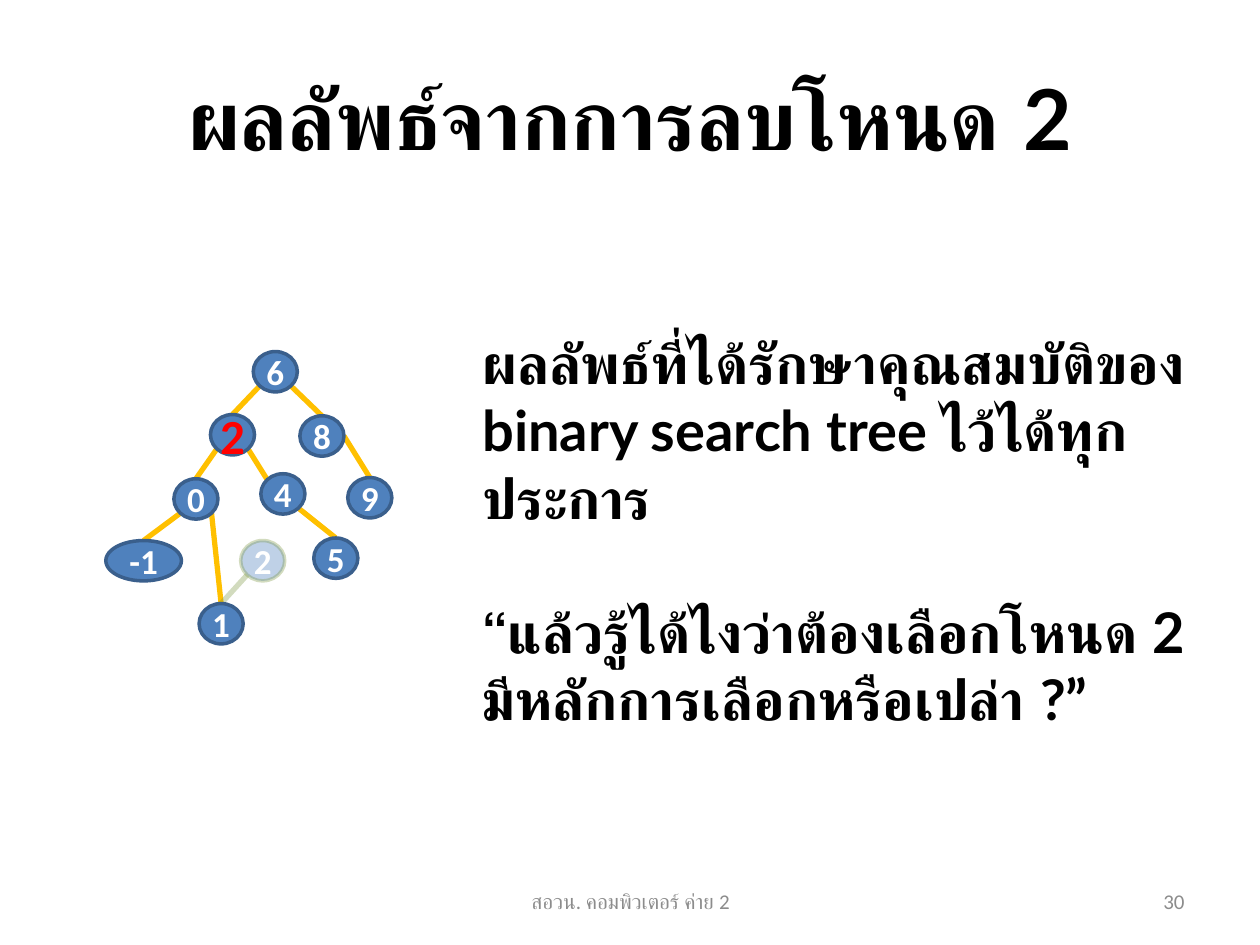
from math import cos, radians, sin

from lxml.etree import SubElement
from pptx import Presentation
from pptx.dml.color import RGBColor
from pptx.enum.shapes import MSO_CONNECTOR, MSO_SHAPE
from pptx.enum.text import MSO_ANCHOR, PP_ALIGN
from pptx.oxml.ns import qn
from pptx.util import Inches, Pt

BLACK = RGBColor(0, 0, 0)
WHITE = RGBColor(255, 255, 255)
RED = RGBColor(255, 0, 0)
GRAY = RGBColor(0x8C, 0x8C, 0x8C)
BLUE = RGBColor(0x4F, 0x81, 0xBD)
NAVY = RGBColor(0x3A, 0x5F, 0x8C)
GOLD = RGBColor(0xFF, 0xC0, 0x00)
GREEN = RGBColor(0x77, 0x93, 0x3C)

WIDE, HIGH = 0.35, 0.32
# Angles of the rim points, clockwise from the right
RIGHT, LOW_R, LOW_L, UP_L, TOP = 0, 45, 135, 225, 270

# name: (label, left, top, format)
NODES = {
    "6": ("6", 2.01, 2.79, {}),
    "2": ("2", 1.67, 3.29, {"size": 28, "color": RED}),
    "8": ("8", 2.38, 3.3, {}),
    "0": ("0", 1.38, 3.8, {}),
    "9": ("9", 2.76, 3.79, {}),
    "5": ("5", 2.49, 4.27, {}),
    "-1": ("-1", 0.84, 4.29, {"wide": 0.6}),
    "1": ("1", 1.58, 4.79, {}),
    "4": ("4", 2.07, 3.76, {}),
    "old": ("2", 1.91, 4.29, {"faded": True}),
}

# (parent, rim angle, child, rim angle)
EDGES = [
    ("6", LOW_L, "2", TOP), ("6", LOW_R, "8", TOP),
    ("2", LOW_L, "0", TOP), ("2", LOW_R, "4", UP_L),
    ("8", RIGHT, "9", TOP), ("4", LOW_R, "5", TOP),
    ("0", LOW_L, "-1", TOP), ("0", LOW_R, "1", TOP),
    ("old", LOW_L, "1", TOP),
]


def write(frame, *lines, size=20, color=BLACK, font="Calibri", bold=True,
          align=PP_ALIGN.LEFT, anchor=MSO_ANCHOR.TOP, gap=0):
    """Fill a text frame, one paragraph a line, with gap points between."""
    frame.word_wrap = True
    frame.vertical_anchor = anchor
    for i, line in enumerate(lines):
        para = frame.add_paragraph() if i else frame.paragraphs[0]
        para.alignment = align
        para.space_before = Pt(gap if i else 0)
        run = para.add_run()
        run.text = line
        run.font.size = Pt(size)
        run.font.name = font
        run.font.bold = bold
        run.font.color.rgb = color


def fade(paint, percent):
    """Set the opacity of a solid fill."""
    color = paint._xPr.find(qn("a:solidFill"))[0]
    SubElement(color, qn("a:alpha"), val=str(percent * 1000))


def rim(name, angle):
    """Point on the edge of a node."""
    _, left, top, style = NODES[name]
    wide, turn = style.get("wide", WIDE), radians(angle)
    return (left + wide / 2 * (1 + cos(turn)),
            top + HIGH / 2 * (1 + sin(turn)))


class Deck:
    def __init__(self):
        self.file = Presentation()
        self.file.slide_width = Inches(10)
        self.file.slide_height = Inches(7.5)
        self.slide = self.file.slides.add_slide(self.file.slide_layouts[6])

    def text(self, box, *lines, **style):
        shape = self.slide.shapes.add_textbox(*map(Inches, box))
        write(shape.text_frame, *lines, **style)

    def edge(self, start, end, faded=False):
        line = self.slide.shapes.add_connector(
            MSO_CONNECTOR.STRAIGHT, *map(Inches, start + end))
        line.line.width = Pt(3)
        line.line.color.rgb = GREEN if faded else GOLD
        if faded:
            fade(line.line.fill, 33)
        SubElement(line._element.spPr, qn("a:effectLst"))

    def node(self, label, left, top, wide=WIDE, size=20, color=WHITE,
             faded=False):
        shape = self.slide.shapes.add_shape(
            MSO_SHAPE.OVAL, *map(Inches, (left, top, wide, HIGH)))
        shape.shadow.inherit = False
        shape.fill.solid()
        shape.fill.fore_color.rgb = BLUE
        shape.line.width = Pt(2)
        shape.line.color.rgb = GREEN if faded else NAVY
        if faded:
            fade(shape.fill, 36)
            fade(shape.line.fill, 33)
        frame = shape.text_frame
        frame.margin_left = frame.margin_right = 0
        frame.margin_top = frame.margin_bottom = 0
        write(frame, label, size=size, color=color, align=PP_ALIGN.CENTER,
              anchor=MSO_ANCHOR.MIDDLE)


def main():
    deck = Deck()
    deck.text((0.5, 0.3, 9, 1.25), "ผลลัพธ์จากการลบโหนด 2", size=48,
              font="Lato", align=PP_ALIGN.CENTER, anchor=MSO_ANCHOR.MIDDLE)
    for start, out, end, into in EDGES:
        deck.edge(rim(start, out), rim(end, into), faded=start == "old")
    for label, left, top, style in NODES.values():
        deck.node(label, left, top, **style)
    deck.text((3.73, 2.56, 5.83, 2.79),
              "ผลลัพธ์ที่ได้รักษาคุณสมบัติของ binary search tree ไว้ได้ทุกประการ",
              "“แล้วรู้ได้ไงว่าต้องเลือกโหนด 2 มีหลักการเลือกหรือเปล่า ?”",
              size=32, font="Lato", gap=38.5)
    foot = {"size": 12, "color": GRAY, "bold": False,
            "anchor": MSO_ANCHOR.MIDDLE}
    deck.text((3.42, 6.95, 3.17, 0.4), "สอวน. คอมพิวเตอร์ ค่าย 2",
              align=PP_ALIGN.CENTER, **foot)
    deck.text((7.17, 6.95, 2.33, 0.4), "30", align=PP_ALIGN.RIGHT, **foot)
    deck.file.save("out.pptx")


if __name__ == "__main__":
    main()
